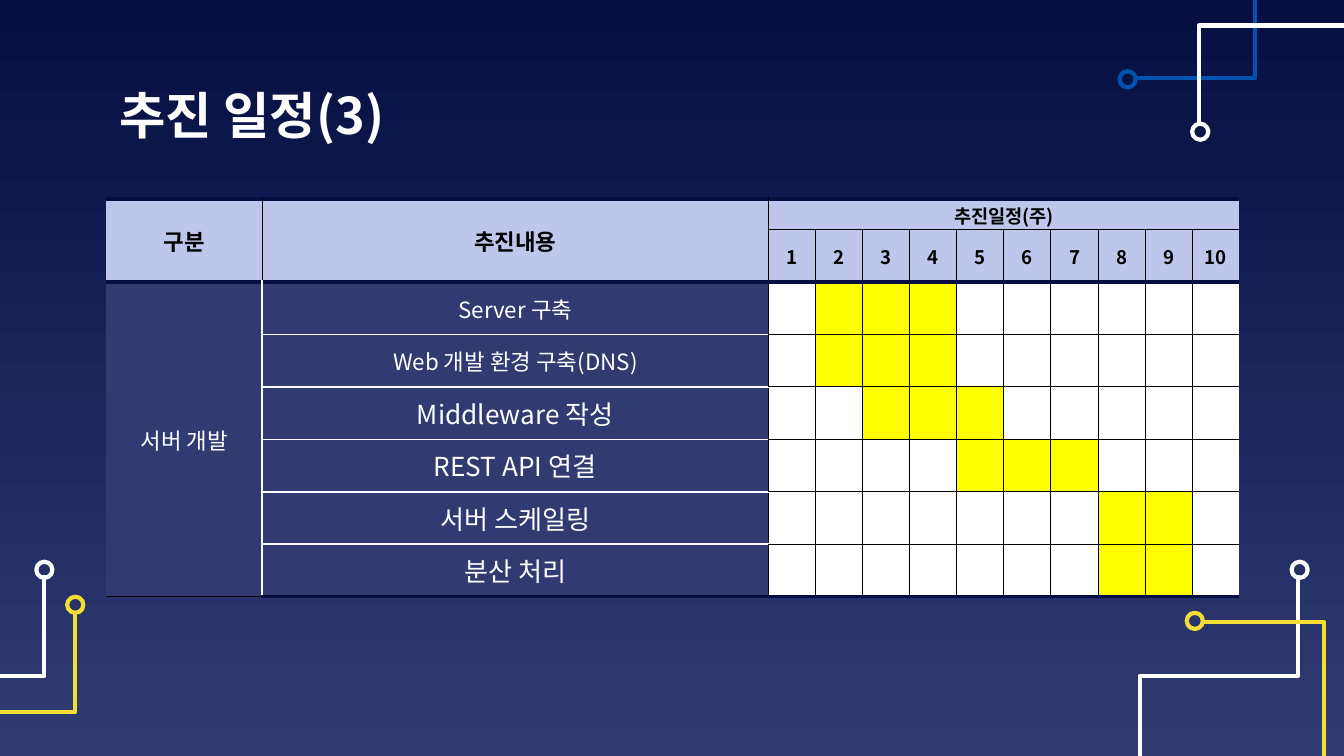
from dataclasses import dataclass
from typing import NamedTuple, Optional

import lxml.etree
import pptx
import pptx.dml.color
import pptx.enum.shapes
import pptx.enum.text
import pptx.oxml.ns
import pptx.util

Inches = pptx.util.Inches
Pt = pptx.util.Pt
PP_ALIGN = pptx.enum.text.PP_ALIGN
MIDDLE = pptx.enum.text.MSO_ANCHOR.MIDDLE
qn = pptx.oxml.ns.qn


@dataclass(frozen=True)
class Theme:
    font: str = "Noto Sans CJK KR"
    navy: str = "040E41"
    indigo: str = "303B72"
    lavender: str = "BEC6EC"
    white: str = "FFFFFF"
    black: str = "000000"
    blue: str = "0152B1"
    gold: str = "F5DE34"
    busy: str = "FFFF00"
    title: int = 27
    large: int = 14
    body: int = 12
    small: int = 10
    trace: float = 2.25


T = Theme()
W = 10
H = W * 9 / 16
RING = 0.12


class Trace(NamedTuple):
    color: str
    points: list[tuple[float, float]]
    ring_center: tuple[float, float]


class Task(NamedTuple):
    name: str
    first: int
    last: int
    size: int


class Line(NamedTuple):
    color: str
    width: float


THIN = Line(T.black, 0.56)
PALE = Line(T.white, 1)
HEAVY = Line(T.navy, 2.25)

TRACES = [
    Trace(T.white, [(9.66, 4.28), (9.66, 5.03), (8.48, 5.03), (8.48, H)], (9.67, 4.24)),
    Trace(T.blue, [(8.45, 0.58), (9.34, 0.58), (9.34, 0)], (8.39, 0.59)),
    Trace(T.white, [(8.92, 0.93), (8.92, 0.19), (W, 0.19)], (8.93, 0.98)),
    Trace(T.gold, [(8.94, 4.63), (9.85, 4.63), (9.85, H)], (8.89, 4.62)),
    Trace(T.white, [(0.33, 4.28), (0.33, 5.03), (0, 5.03)], (0.33, 4.24)),
    Trace(T.gold, [(0.56, 4.55), (0.56, 5.3), (0, 5.3)], (0.56, 4.5)),
]
TASKS = [
    Task("Server 구축", 2, 4, T.body),
    Task("Web 개발 환경 구축(DNS)", 2, 4, T.body),
    Task("Middleware 작성", 3, 5, T.large),
    Task("REST API 연결", 5, 7, T.large),
    Task("서버 스케일링", 8, 9, T.large),
    Task("분산 처리", 8, 9, T.large),
]
WEEKS = 10
HEAD_ROWS, LABEL_COLS = 2, 2
ROWS, COLS = HEAD_ROWS + len(TASKS), LABEL_COLS + WEEKS


def rgb(color: str) -> pptx.dml.color.RGBColor:
    return pptx.dml.color.RGBColor.from_string(color)


def write(tf, text: str, *, size: float, color: str, bold: bool = False,
          align=PP_ALIGN.LEFT) -> None:
    p = tf.paragraphs[0]
    p.alignment = align
    r = p.add_run()
    r.text = text
    r.font.size, r.font.bold = Pt(size), bold
    r.font.color.rgb = rgb(color)
    r.font.name = T.font
    ea = lxml.etree.SubElement(r.font._element, qn("a:ea"))
    ea.set("typeface", T.font)


def style_trace(sp, color: str) -> None:
    sp.shadow.inherit = False
    sp.fill.background()
    sp.line.color.rgb = rgb(color)
    sp.line.width = Pt(T.trace)


def draw_trace(s, trace: Trace) -> None:
    points = [(Inches(x), Inches(y)) for x, y in trace.points]
    builder = s.shapes.build_freeform(*points[0])
    builder.add_line_segments(points[1:], close=False)
    style_trace(builder.convert_to_shape(), trace.color)
    x, y = trace.ring_center
    ring = s.shapes.add_shape(pptx.enum.shapes.MSO_SHAPE.OVAL, Inches(x - RING / 2),
                              Inches(y - RING / 2), Inches(RING), Inches(RING))
    style_trace(ring, trace.color)


def horizontal_rule(i: int, col: int) -> Optional[Line]:
    """Line above row i."""
    if i in (0, HEAD_ROWS):
        return HEAVY
    if col == 0:
        return THIN if i > HEAD_ROWS else None
    if i == ROWS:
        return HEAVY
    if col >= LABEL_COLS:
        return THIN
    return PALE if i > HEAD_ROWS else None


def vertical_rule(i: int, row: int) -> Optional[Line]:
    """Line to the left of column i."""
    if i in (0, COLS) or (row == 0 and i > LABEL_COLS):
        return None
    return PALE if i == 1 and row >= HEAD_ROWS else THIN


def add_borders(cell, row: int, col: int) -> None:
    tcPr = cell._tc.get_or_add_tcPr()
    edges = {"a:lnL": vertical_rule(col, row), "a:lnR": vertical_rule(col + 1, row),
             "a:lnT": horizontal_rule(row, col), "a:lnB": horizontal_rule(row + 1, col)}
    for tag, line in edges.items():
        ln = lxml.etree.SubElement(tcPr, qn(tag))
        if line is None:
            lxml.etree.SubElement(ln, qn("a:noFill"))
            continue
        ln.set("w", str(int(Pt(line.width))))
        fill = lxml.etree.SubElement(ln, qn("a:solidFill"))
        lxml.etree.SubElement(fill, qn("a:srgbClr")).set("val", line.color)


def cell_fill(row: int, col: int) -> str:
    if row < HEAD_ROWS:
        return T.lavender
    if col < LABEL_COLS:
        return T.indigo
    task = TASKS[row - HEAD_ROWS]
    return T.busy if task.first <= col - LABEL_COLS + 1 <= task.last else T.white


def draw_schedule(s) -> None:
    widths = [1.16, 3.77] + [0.35] * WEEKS
    heights = [0.23] + [0.39] * (ROWS - 1)
    tbl = s.shapes.add_table(ROWS, COLS, Inches(0.79), Inches(1.48),
                             Inches(sum(widths)), Inches(sum(heights))).table
    for column, width in zip(tbl.columns, widths):
        column.width = Inches(width)
    for row, height in zip(tbl.rows, heights):
        row.height = Inches(height)

    # Labels by (row, column)
    head = dict(color=T.black, bold=True)
    labels = {(0, 0): ("구분", dict(head, size=T.body)),
              (0, 1): ("추진내용", dict(head, size=T.body)),
              (0, 2): ("추진일정(주)", dict(head, size=T.small)),
              (2, 0): ("서버 개발", dict(color=T.white, size=T.body))}
    for week in range(WEEKS):
        labels[1, LABEL_COLS + week] = (str(week + 1), dict(head, size=T.small))
    for i, task in enumerate(TASKS):
        labels[HEAD_ROWS + i, 1] = (task.name, dict(color=T.white, size=task.size))

    # Cells
    for row in range(ROWS):
        for col in range(COLS):
            cell = tbl.cell(row, col)
            side = 0.09 if row and col >= LABEL_COLS else 0.06
            cell.margin_left = cell.margin_right = Inches(side)
            cell.margin_top = cell.margin_bottom = Inches(0.02)
            cell.vertical_anchor = MIDDLE
            add_borders(cell, row, col)
            cell.fill.solid()
            cell.fill.fore_color.rgb = rgb(cell_fill(row, col))
            if (row, col) in labels:
                text, fmt = labels[row, col]
                write(cell.text_frame, text, align=PP_ALIGN.CENTER, **fmt)
            else:
                p = cell.text_frame.paragraphs[0]._p
                end = lxml.etree.SubElement(p, qn("a:endParaRPr"))
                end.set("sz", str(T.small * 100))

    # Merged headings
    for first, last in [((0, 0), (1, 0)), ((0, 1), (1, 1)),
                        ((0, 2), (0, COLS - 1)), ((2, 0), (ROWS - 1, 0))]:
        tbl.cell(*first).merge(tbl.cell(*last))


def main() -> None:
    prs = pptx.Presentation()
    prs.slide_width, prs.slide_height = Inches(W), Inches(H)
    s = prs.slides.add_slide(prs.slide_layouts[6])
    # Background
    fill = s.background.fill
    fill.gradient()
    fill.gradient_angle = 270
    for stop, color, position in zip(fill.gradient_stops, (T.navy, T.indigo), (0, 1)):
        stop.color.rgb = rgb(color)
        stop.position = position
    # Circuit traces
    for trace in TRACES:
        draw_trace(s, trace)
    # Title
    tf = s.shapes.add_textbox(Inches(0.79), Inches(0.59), Inches(8.43), Inches(0.52)).text_frame
    tf.word_wrap = True
    tf.vertical_anchor = MIDDLE
    tf.margin_left = tf.margin_right = tf.margin_top = tf.margin_bottom = Inches(0.1)
    write(tf, "추진 일정(3)", size=T.title, color=T.white, bold=True)
    draw_schedule(s)
    prs.save("out.pptx")


if __name__ == "__main__":
    main()
